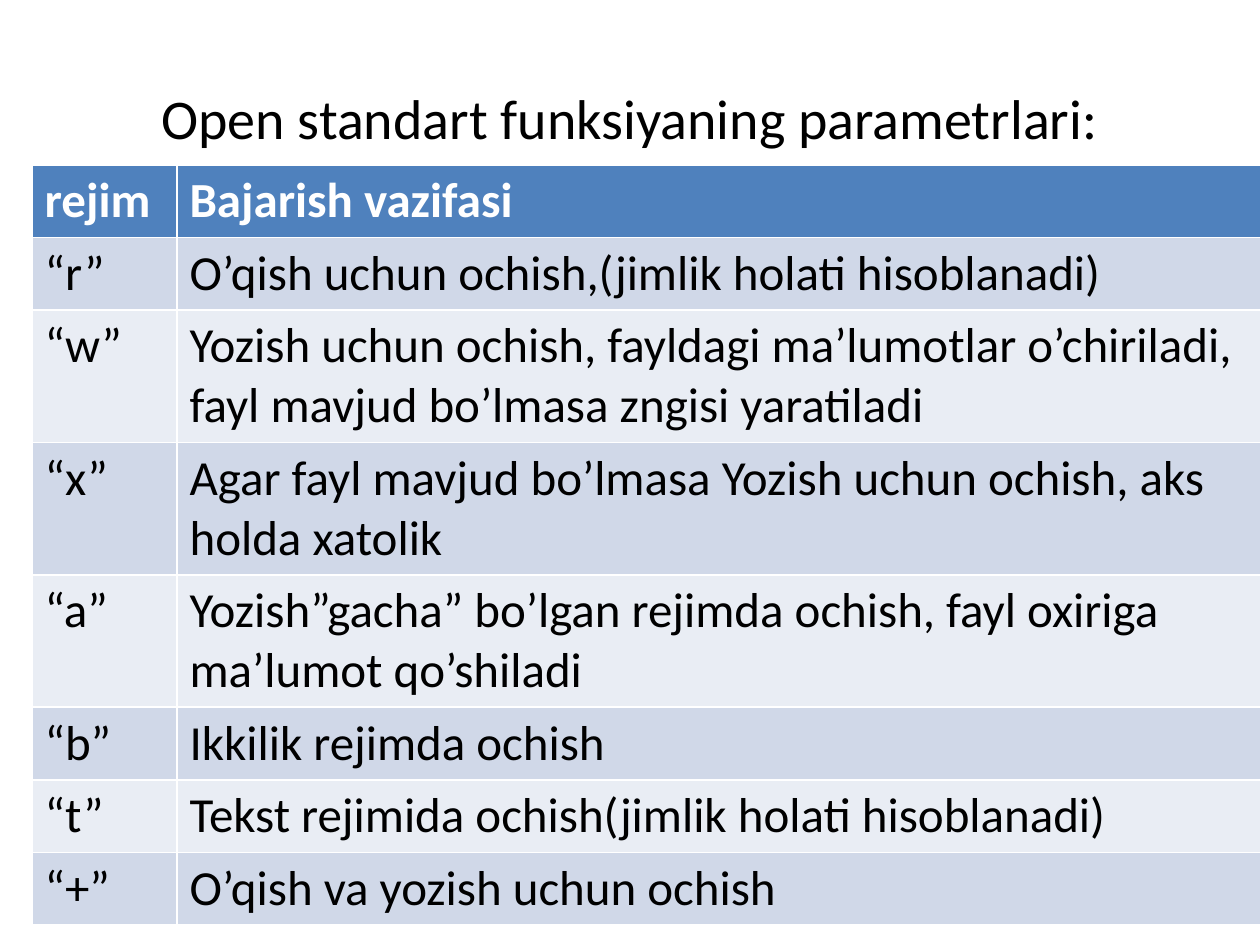
from pptx import Presentation
from pptx.dml.color import RGBColor
from pptx.enum.text import MSO_ANCHOR, PP_ALIGN
from pptx.util import Emu, Pt

PX = 914400 / 126
BLACK = RGBColor(0x00, 0x00, 0x00)
WHITE = RGBColor(0xFF, 0xFF, 0xFF)
HEADER_BLUE = RGBColor(0x4F, 0x81, 0xBD)
BANDS = (RGBColor(0xE9, 0xED, 0xF4), RGBColor(0xD0, 0xD8, 0xE8))

TITLE = "Open standart funksiyaning parametrlari:"
MODES = [
    ("rejim", "Bajarish vazifasi"),
    ("“r”", "O’qish uchun ochish,(jimlik holati hisoblanadi)"),
    ("“w”", "Yozish uchun ochish, fayldagi ma’lumotlar o’chiriladi, fayl mavjud bo’lmasa zngisi yaratiladi"),
    ("“x”", "Agar fayl mavjud bo’lmasa Yozish uchun ochish, aks holda xatolik"),
    ("“a”", "Yozish”gacha” bo’lgan rejimda ochish, fayl oxiriga ma’lumot qo’shiladi"),
    ("“b”", "Ikkilik rejimda ochish"),
    ("“t”", "Tekst rejimida ochish(jimlik holati hisoblanadi)"),
    ("“+”", "O’qish va yozish uchun ochish"),
]
SINGLE_LINE, DOUBLE_LINE = 71, 130
ROW_HEIGHTS = [SINGLE_LINE] * 2 + [DOUBLE_LINE] * 3 + [SINGLE_LINE] * 3
MODE_WIDTH = 145


def px(length):
    """Convert whole pixels to EMU."""
    return Emu(round(length * PX))


def write(frame, text, size=28, color=BLACK, bold=False, align=PP_ALIGN.LEFT):
    """Put one formatted paragraph into a text frame."""
    paragraph = frame.paragraphs[0]
    paragraph.alignment = align
    run = paragraph.add_run()
    run.text = text
    run.font.name = "Calibri"
    run.font.size = Pt(size)
    run.font.bold = bold
    run.font.color.rgb = color


def place_title(slide, left, top, width, height):
    """Move the title placeholder into its box and fill it."""
    title = slide.shapes.title
    title.left, title.top, title.width, title.height = map(px, (left, top, width, height))
    title.text_frame.vertical_anchor = MSO_ANCHOR.MIDDLE
    write(title.text_frame, TITLE, size=32, align=PP_ALIGN.CENTER)


def place_modes(slide, left, top, width, height):
    """Build the table of file modes inside its box."""
    modes = slide.shapes.add_table(
        len(MODES), 2, *map(px, (left, top, width, height))).table
    for column, column_width in zip(modes.columns, (MODE_WIDTH, width - MODE_WIDTH)):
        column.width = px(column_width)
    for index, (row, texts) in enumerate(zip(modes.rows, MODES)):
        row.height = px(ROW_HEIGHTS[index])
        is_header = index == 0
        for cell, text in zip(row.cells, texts):
            cell.fill.solid()
            cell.fill.fore_color.rgb = HEADER_BLUE if is_header else BANDS[index % 2]
            write(cell.text_frame, text, bold=is_header,
                  color=WHITE if is_header else BLACK)


def main():
    """Build and save the slide."""
    deck = Presentation()
    deck.slide_width, deck.slide_height = px(1260), px(945)
    slide = deck.slides.add_slide(deck.slide_layouts[5])
    place_title(slide, 63, 38, 1134, 158)
    place_modes(slide, 32, 165, 1230, sum(ROW_HEIGHTS))
    deck.save("out.pptx")


if __name__ == "__main__":
    main()
